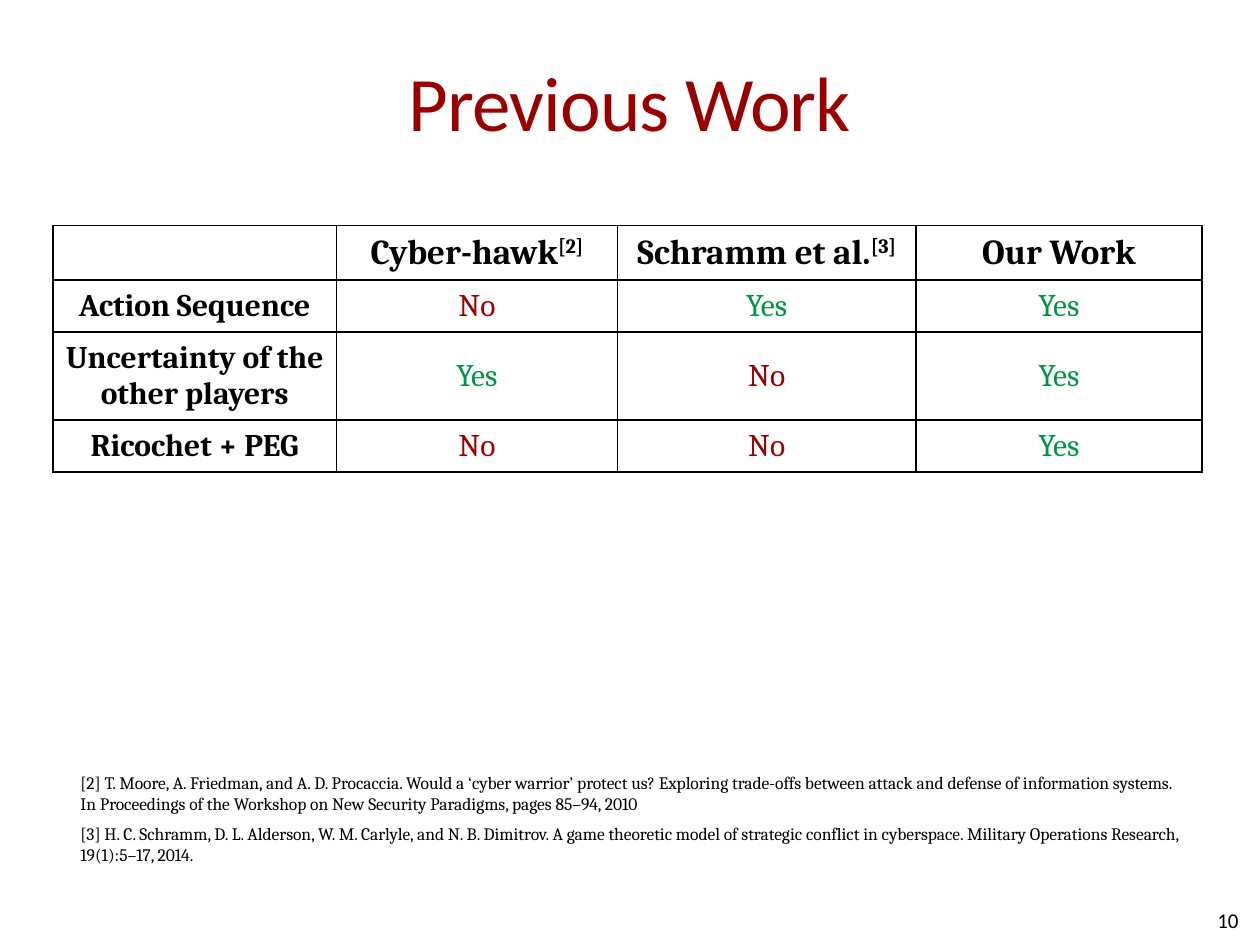
from lxml.etree import SubElement
from pptx import Presentation
from pptx.dml.color import RGBColor
from pptx.enum.text import MSO_ANCHOR, PP_ALIGN
from pptx.oxml.ns import qn
from pptx.util import Inches, Pt

BLACK, RED, GREEN = "000000", "990000", "009446"


def add_text(paragraph, text, size=18, font="Cambria", color=BLACK, bold=False,
             align=PP_ALIGN.LEFT, **attributes):
    paragraph.alignment = align
    run = paragraph.add_run()
    run.text = text
    run.font.size = Pt(size)
    run.font.name = font
    run.font.bold = bold
    run.font.color.rgb = RGBColor.from_string(color)
    for name, value in attributes.items():
        run.font._element.set(name, str(value))


def add_box(left, top, width, height, anchor=MSO_ANCHOR.TOP, side=0.1, edge=0.05):
    shape = slide.shapes.add_textbox(Inches(left), Inches(top), Inches(width), Inches(height))
    frame = shape.text_frame
    frame.word_wrap = True
    frame.vertical_anchor = anchor
    frame.margin_left = frame.margin_right = Inches(side)
    frame.margin_top = frame.margin_bottom = Inches(edge)
    return frame.paragraphs[0]


presentation = Presentation()
presentation.slide_width, presentation.slide_height = Inches(10), Inches(7.5)
slide = presentation.slides.add_slide(presentation.slide_layouts[6])

# Title and page number
add_text(add_box(0.5, 0.17, 9, 1.25, MSO_ANCHOR.MIDDLE, side=0), "Previous Work",
         size=44, font="Calibri", color=RED, align=PP_ALIGN.CENTER, spc=-50)
add_text(add_box(7.5, 7.1, 2.33, 0.4, MSO_ANCHOR.MIDDLE, side=0, edge=0), "10",
         size=12, font="Calibri", align=PP_ALIGN.RIGHT)

# Comparison table: header cells hold a name and its reference mark
header = [("", ""), ("Cyber-hawk", "[2]"), ("Schramm et al.", "[3]"), ("Our Work", "")]
features = [
    ("Action Sequence", "No", "Yes", "Yes"),
    ("Uncertainty of the other players", "Yes", "No", "Yes"),
    ("Ricochet + PEG", "No", "No", "Yes"),
]
column_widths = [2.25, 2.23, 2.37, 2.27]
row_heights = [0.42, 0.41, 0.68, 0.41]
answer_colors = {"Yes": GREEN, "No": RED}

table_shape = slide.shapes.add_table(
    len(row_heights), len(column_widths), Inches(0.42), Inches(1.79),
    Inches(sum(column_widths)), Inches(sum(row_heights)))
table = table_shape.table
table.first_row = table.horz_banding = False
for column, width in zip(table.columns, column_widths):
    column.width = Inches(width)
for row, height in zip(table.rows, row_heights):
    row.height = Inches(height)

# Thin black grid without fill
for cell in table.iter_cells():
    cell.vertical_anchor = MSO_ANCHOR.MIDDLE
    properties = cell._tc.get_or_add_tcPr()
    for side in ("a:lnL", "a:lnR", "a:lnT", "a:lnB"):
        line = SubElement(properties, qn(side), w=str(Pt(1)))
        SubElement(SubElement(line, qn("a:solidFill")), qn("a:srgbClr"), val=BLACK)
    cell.fill.background()

# Table text
for column, (name, mark) in enumerate(header):
    paragraph = table.cell(0, column).text_frame.paragraphs[0]
    if name:
        add_text(paragraph, name, size=20, bold=True, align=PP_ALIGN.CENTER)
    if mark:
        add_text(paragraph, mark, size=20, bold=True, align=PP_ALIGN.CENTER, baseline=30000)
for row, values in enumerate(features, start=1):
    for column, value in enumerate(values):
        add_text(table.cell(row, column).text_frame.paragraphs[0], value, bold=column == 0,
                 color=answer_colors.get(value, BLACK), align=PP_ALIGN.CENTER)

# References
references = [
    "[2] T. Moore, A. Friedman, and A. D. Procaccia. Would a ‘cyber warrior’ protect us? "
    "Exploring trade-offs between attack and defense of information systems. "
    "In Proceedings of the Workshop on New Security Paradigms, pages 85–94, 2010",
    "[3] H. C. Schramm, D. L. Alderson, W. M. Carlyle, and N. B. Dimitrov. "
    "A game theoretic model of strategic conflict in cyberspace. "
    "Military Operations Research, 19(1):5–17, 2014.",
]
for index, reference in enumerate(references):
    add_text(add_box(0.54, 6.08 + 0.4 * index, 9, 0.44), reference, size=10)

presentation.save("out.pptx")
